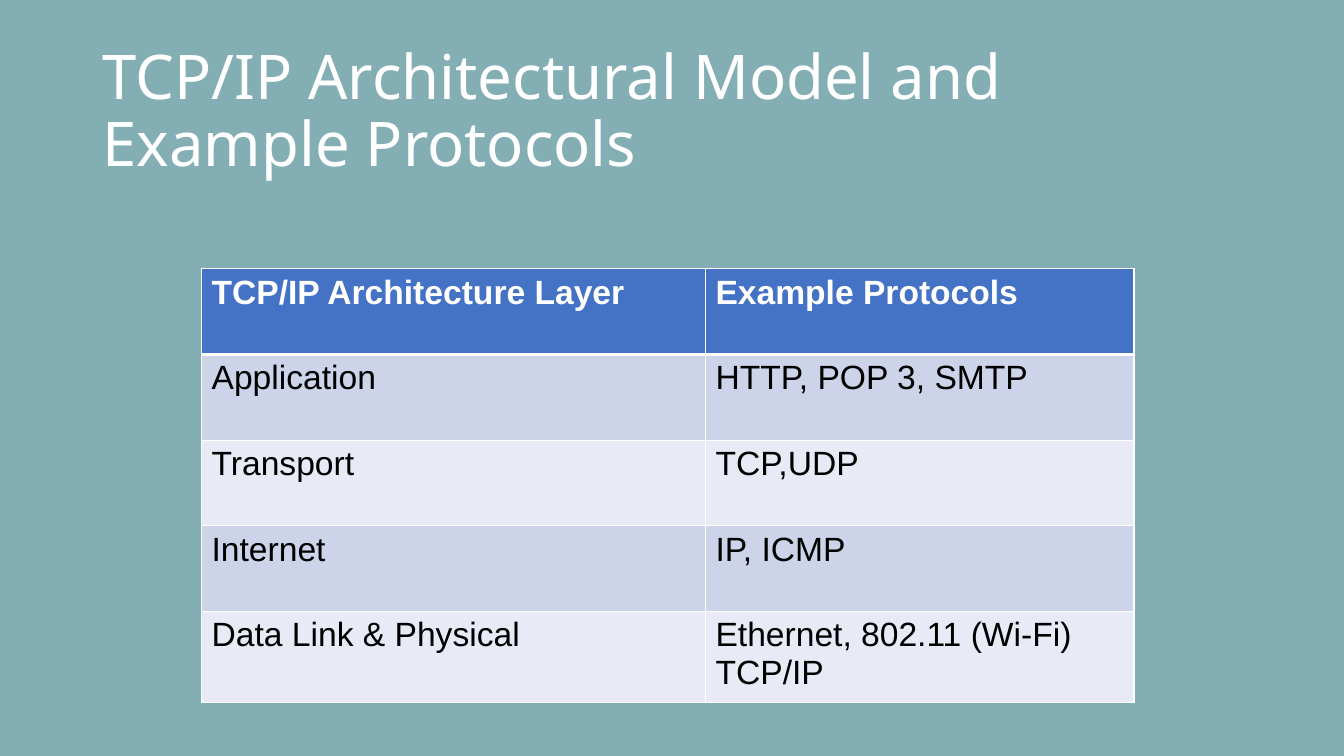
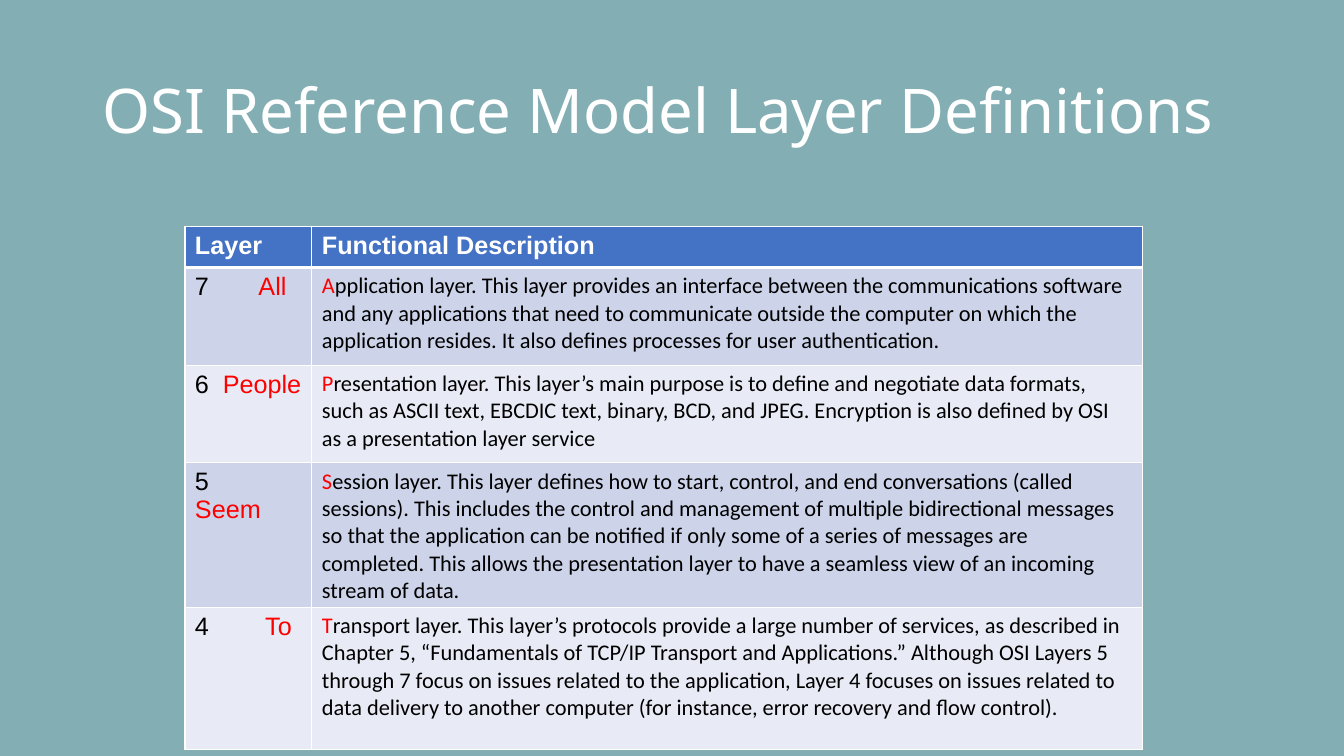
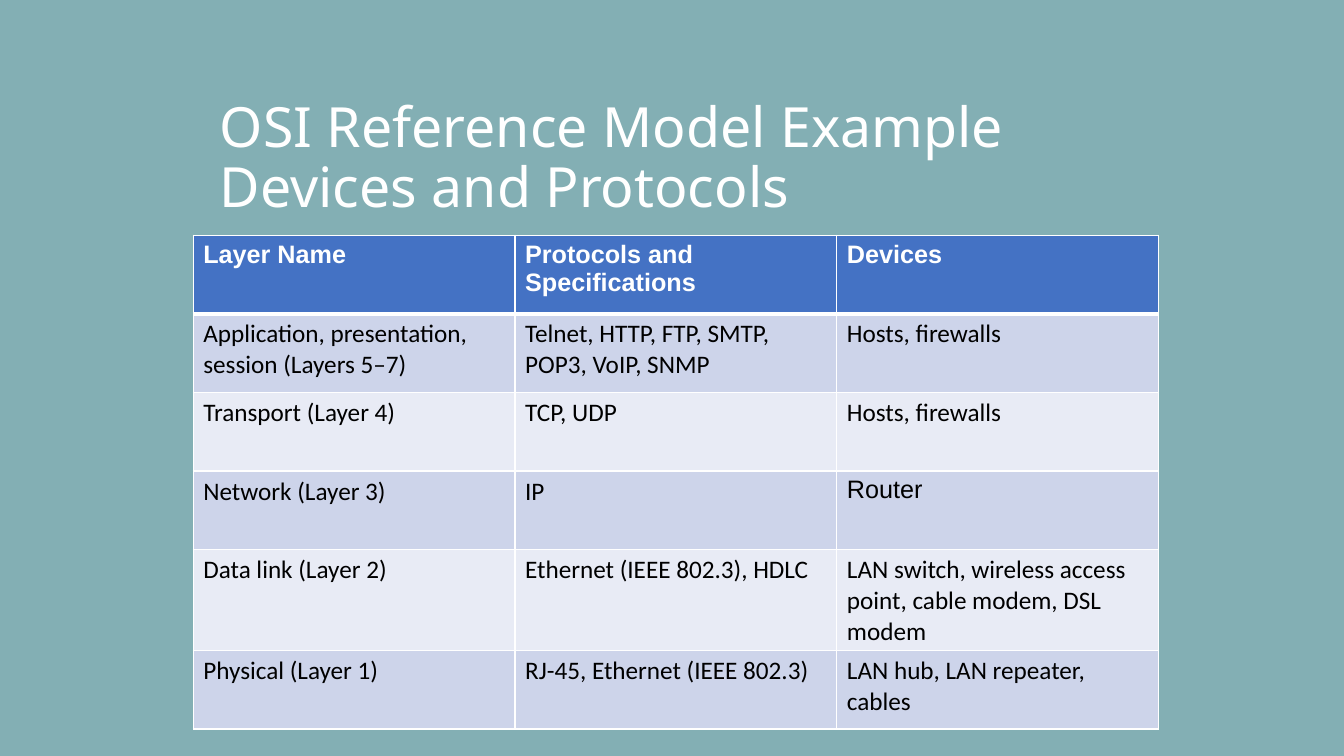
from lxml.etree import SubElement
from pptx import Presentation
from pptx.dml.color import RGBColor
from pptx.enum.text import MSO_ANCHOR
from pptx.oxml.ns import qn
from pptx.util import Cm, Pt

TEAL = RGBColor(0x83, 0xAF, 0xB4)
BLUE = RGBColor(0x44, 0x72, 0xC4)
BANDS = RGBColor(0xE8, 0xEB, 0xF5), RGBColor(0xCD, 0xD4, 0xEA)
WHITE = RGBColor(0xFF, 0xFF, 0xFF)
BLACK = RGBColor(0, 0, 0)
RED = RGBColor(0xFF, 0, 0)

HEAD = "Noto Sans"
SANS = "Arial"
BODY = "Calibri"

MODEL = [
    ("TCP/IP Architecture Layer", "Example Protocols"),
    ("Application", "HTTP, POP 3, SMTP"),
    ("Transport", "TCP,UDP"),
    ("Internet", "IP, ICMP"),
    ("Data Link & Physical", "Ethernet, 802.11 (Wi-Fi)\nTCP/IP"),
]

# Text between asterisks is red.
LAYERS = [
    ("Layer", "Functional Description"),
    ("7\t*All*",
     "*A*pplication layer. This layer provides an interface between the "
     "communications software and any applications that need to communicate "
     "outside the computer on which the application resides. It also defines "
     "processes for user authentication."),
    ("6\t*People*",
     "*P*resentation layer. This layer’s main purpose is to define and "
     "negotiate data formats, such as ASCII text, EBCDIC text, binary, BCD, "
     "and JPEG. Encryption is also defined by OSI as a presentation layer "
     "service"),
    ("5\n*Seem*",
     "*S*ession layer. This layer defines how to start, control, and end "
     "conversations (called sessions). This includes the control and "
     "management of multiple bidirectional messages so that the application "
     "can be notified if only some of a series of messages are completed. "
     "This allows the presentation layer to have a seamless view of an "
     "incoming stream of data."),
    ("4\t*To*",
     "*T*ransport layer. This layer’s protocols provide a large number of "
     "services, as described in Chapter 5, “Fundamentals of TCP/IP Transport "
     "and Applications.” Although OSI Layers 5 through 7 focus on issues "
     "related to the application, Layer 4 focuses on issues related to data "
     "delivery to another computer (for instance, error recovery and flow "
     "control)."),
]
TABS = {1: 1.6, 2: 0.7, 4: 1.77}

DEVICES = [
    ("Layer Name", "Protocols and Specifications", "Devices"),
    ("Application, presentation, session (Layers 5–7)",
     "Telnet, HTTP, FTP, SMTP, POP3, VoIP, SNMP", "Hosts, firewalls"),
    ("Transport (Layer 4)", "TCP, UDP", "Hosts, firewalls"),
    ("Network (Layer 3)", "IP", "Router"),
    ("Data link (Layer 2)", "Ethernet (IEEE 802.3), HDLC",
     "LAN switch, wireless access point, cable modem, DSL modem"),
    ("Physical (Layer 1)", "RJ-45, Ethernet (IEEE 802.3)",
     "LAN hub, LAN repeater, cables"),
]


class Deck:
    def __init__(self):
        self.prs = Presentation()
        self.prs.slide_width, self.prs.slide_height = Cm(33.87), Cm(19.05)
        self.slide = None

    def start(self, title, box=(2.33, 1.01, 29.21, 3.68), size=44):
        """Add a slide with its background and title."""
        self.slide = self.prs.slides.add_slide(self.prs.slide_layouts[6])
        fill = self.slide.background.fill
        fill.solid()
        fill.fore_color.rgb = TEAL
        frame = self.slide.shapes.add_textbox(*map(Cm, box)).text_frame
        frame.word_wrap = True
        frame.vertical_anchor = MSO_ANCHOR.MIDDLE
        frame.text = title
        para = frame.paragraphs[0]
        para.line_spacing = 0.9
        self.style(para.runs[0], HEAD, size, WHITE)

    def style(self, run, name, size, color, bold=False):
        font = run.font
        font.name, font.size, font.bold = name, Pt(size), bold
        font.color.rgb = color

    def label(self, cell, text, name, size, color, bold):
        """Fill a cell, one paragraph a line, with marked parts in red."""
        frame = cell.text_frame
        for i, line in enumerate(text.split("\n")):
            para = frame.add_paragraph() if i else frame.paragraphs[0]
            for j, part in enumerate(line.split("*")):
                if part:
                    run = para.add_run()
                    run.text = part
                    self.style(run, name, size, RED if j % 2 else color, bold)

    def edge(self, cell, top, bottom):
        """Draw white borders; top and bottom widths are in points."""
        props = cell._tc.get_or_add_tcPr()
        for side, width in zip("LRTB", (1, 1, top, bottom)):
            line = SubElement(props, qn(f"a:ln{side}"), w=str(Pt(width)))
            fill = SubElement(line, qn("a:solidFill"))
            SubElement(fill, qn("a:srgbClr"), val=str(WHITE))

    def table(self, rows, at, widths, heights, fonts, head):
        """Add a banded table; fonts gives a name and size per column."""
        left, top = map(Cm, at)
        grid = self.slide.shapes.add_table(
            len(rows), len(widths), left, top,
            Cm(sum(widths)), Cm(sum(heights))).table
        grid.horz_banding = False
        for col, width in zip(grid.columns, widths):
            col.width = Cm(width)
        for r, (row, height) in enumerate(zip(rows, heights)):
            grid.rows[r].height = Cm(height)
            for c, text in enumerate(row):
                cell = grid.cell(r, c)
                self.edge(cell, 3 if r == 1 else 1, 1 if r else 3)
                cell.fill.solid()
                cell.fill.fore_color.rgb = BANDS[r % 2] if r else BLUE
                name, size = fonts[c] if r else (SANS, head)
                self.label(cell, text, name, size,
                           BLACK if r else WHITE, not r)
        return grid

    def tab(self, cell, stop):
        props = cell.text_frame.paragraphs[0]._p.get_or_add_pPr()
        tabs = SubElement(props, qn("a:tabLst"))
        SubElement(tabs, qn("a:tab"), pos=str(Cm(stop)), algn="l")


def main():
    deck = Deck()

    deck.start("TCP/IP Architectural Model and Example Protocols")
    deck.table(MODEL, (5.08, 6.77), (12.7, 10.8), [2.16] * 5,
               [(SANS, 24)] * 2, 24)

    deck.start("OSI Reference Model Layer Definitions")
    grid = deck.table(LAYERS, (4.66, 5.7), (3.2, 20.93),
                      (1.04, 2.46, 2.46, 3.58, 3.58),
                      [(SANS, 18), (BODY, 16)], 18)
    for row, stop in TABS.items():
        deck.tab(grid.cell(row, 0), stop)

    deck.start("OSI Reference Model Example Devices and Protocols",
               (5.29, 2.54, 22.86, 2.97), 39.6)
    grid = deck.table(DEVICES, (4.87, 5.93), [8.11] * 3,
                      (1.98, 1.98, 1.98, 1.98, 2.41, 1.98),
                      [(BODY, 18)] * 3, 18)
    router = grid.cell(3, 2).text_frame.paragraphs[0].runs[0]
    router.font.name = SANS

    deck.prs.save("out.pptx")


if __name__ == "__main__":
    main()
